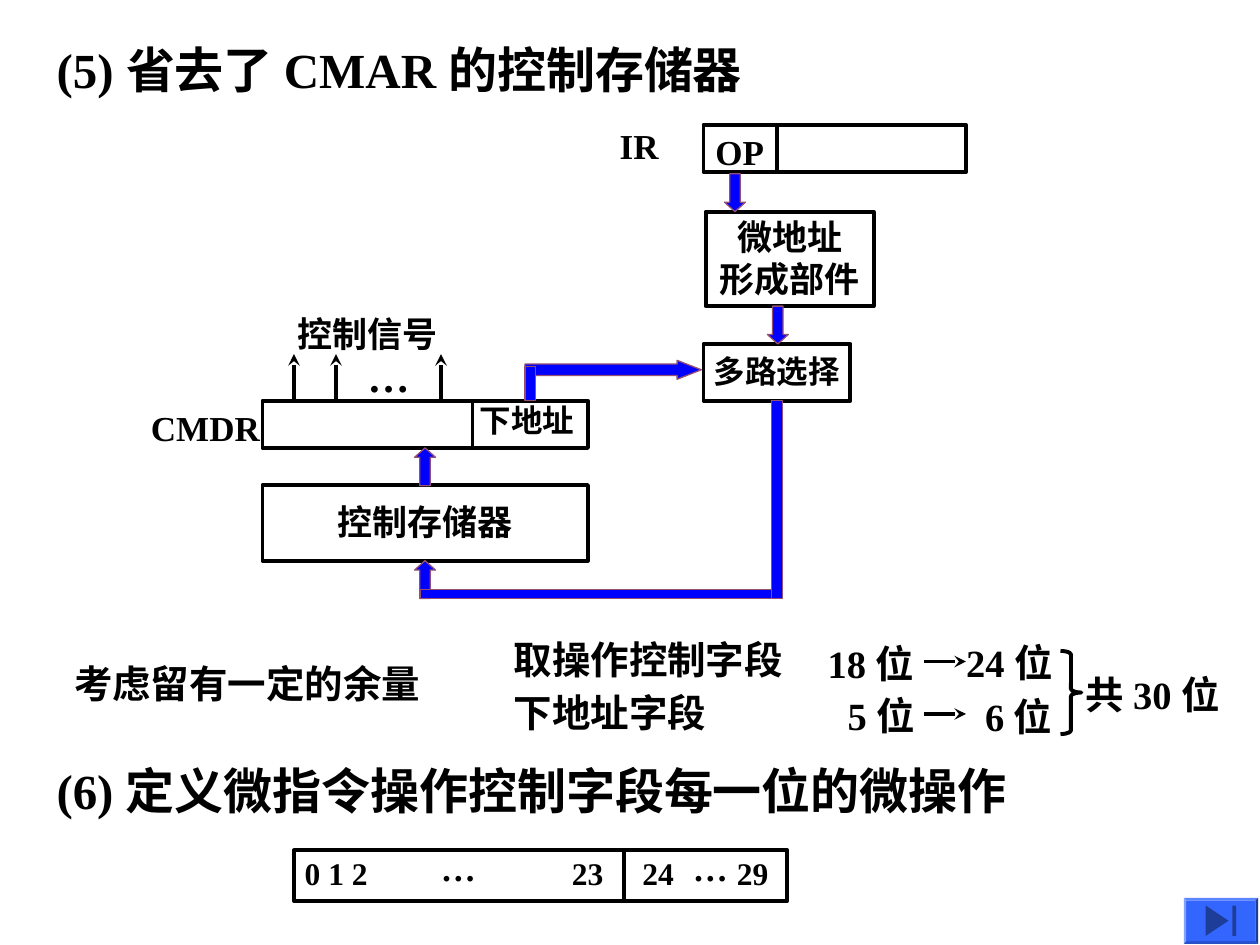
"""Build the slide on a control memory without CMAR, on a grid of 120 columns by 90 rows."""
from typing import NamedTuple

import pptx
import pptx.dml.color
import pptx.enum.shapes
import pptx.enum.text
import pptx.oxml
import pptx.oxml.ns
import pptx.util

COLS, ROWS = 120, 90
BLACK, BLUE, PLUM, BUTTON = "000000", "0000FF", "954F72", "3366FF"
FONT = "Times New Roman"
SHAPE = pptx.enum.shapes.MSO_SHAPE
ALIGN = pptx.enum.text.PP_ALIGN
ANCHOR = pptx.enum.text.MSO_ANCHOR
FIT = pptx.enum.text.MSO_AUTO_SIZE


class Label(NamedTuple):
    text: str
    col: float
    row: float
    cols: float
    size: int = 22


class Box(NamedTuple):
    col: float
    row: float
    cols: float
    rows: float
    text: str = ""
    size: int = 20


class Flow(NamedTuple):
    kind: int
    col: float
    row: float
    cols: float
    rows: float
    adjust: tuple = ()


class Line(NamedTuple):
    col1: float
    row1: float
    col2: float
    row2: float
    arrow: bool = False


TITLE = Label("(5) 省去了 CMAR 的控制存储器", 4.2, 3.14, 79.8, 28)
LABELS = [
    Label("(6) 定义微指令操作控制字段每一位的微操作", 4.2, 71.88, 101.76, 28),
    Label("考虑留有一定的余量", 5.88, 62.28, 44),
    Label("取操作控制字段", 47.76, 60, 27.96),
    Label("下地址字段", 47.76, 65.04, 20.64),
    Label("18 位", 77.64, 60.36, 11.52),
    Label("5 位", 79.56, 65.28, 9.6),
    Label("24 位", 90.84, 60.24, 11.52),
    Label("6 位", 92.64, 65.4, 9.6),
    Label("共 30 位", 102.24, 63.36, 16.8),
    Label("IR", 57.84, 11.28, 6.12, 20),
    Label("OP", 66.96, 11.88, 6.96, 20),
    Label("CMDR", 13.2, 38.16, 12.72, 20),
    Label("控制信号", 27.12, 29.16, 15.72, 20),
    Label("…", 33.84, 32.76, 6.36, 24),
    Label("下地址", 44.52, 37.6, 11.4, 18),
    Label("0 1 2", 27.84, 80.76, 8.4, 18),
    Label("…", 40.8, 80.04, 5.76, 20),
    Label("23", 53.28, 80.76, 5.4, 18),
    Label("24", 60, 80.76, 5.4, 18),
    Label("…", 64.8, 80.04, 5.76, 20),
    Label("29", 69, 80.76, 5.4, 18),
]
BOXES = [
    Box(67, 11.88, 25, 4.5),
    Box(67.2, 20.16, 16, 9, "微地址\n形成部件"),
    Box(67, 32.76, 14, 5.4, "多路选择", 18),
    Box(25, 38.16, 31, 4.5),
    Box(25, 46.2, 31, 7.2, "控制存储器"),
    Box(28, 81, 47, 4.8),
]
LINES = [
    Line(74, 11.88, 74, 16.38),
    Line(45, 38.16, 45, 42.66),
    Line(59.4, 81, 59.4, 85.8),
    *(Line(col, 38.16, col, 33.72, True) for col in (28, 32, 42)),
    *(Line(88, row, 92, row, True) for row in (63, 68)),
]
FLOWS = [
    Flow(SHAPE.UP_ARROW, 39.48, 42.66, 2, 3.6, (0.5, 0.45)),
    Flow(SHAPE.UP_ARROW, 39.48, 53.4, 2, 3.6, (0.5, 0.45)),
    Flow(SHAPE.RECTANGLE, 40, 56.16, 34, 0.84),
    Flow(SHAPE.RECTANGLE, 73.5, 38.16, 1, 18.84),
    Flow(SHAPE.RIGHT_ARROW, 50, 34.32, 16.8, 1.8, (0.61, 1.28)),
    Flow(SHAPE.RECTANGLE, 50, 34.92, 1, 3.24),
    Flow(SHAPE.DOWN_ARROW, 73.08, 29.16, 2, 3.6, (0.5, 0.45)),
    Flow(SHAPE.DOWN_ARROW, 69, 16.56, 2, 3.6, (0.5, 0.45)),
]

prs = pptx.Presentation()
prs.slide_width = pptx.util.Inches(10)
prs.slide_height = pptx.util.Inches(7.5)
s = prs.slides.add_slide(prs.slide_layouts[5])


def rgb(value: str) -> pptx.dml.color.RGBColor:
    """Return the colour of a hex string."""
    return pptx.dml.color.RGBColor.from_string(value)


def x(cols: float) -> int:
    """Return the length of a number of columns."""
    return round(prs.slide_width * cols / COLS)


def y(rows: float) -> int:
    """Return the length of a number of rows."""
    return round(prs.slide_height * rows / ROWS)


def write(tf, text: str, size: int, align=ALIGN.LEFT) -> None:
    """Fill a text frame, one paragraph a line, in bold black."""
    tf.text = text
    for p in tf.paragraphs:
        p.alignment = align
        p.font.name = FONT
        p.font.size = pptx.util.Pt(size)
        p.font.bold = True
        p.font.color.rgb = rgb(BLACK)


def place_label(sp, label: Label) -> None:
    """Move a text shape to its label's place and write the label."""
    sp.left, sp.top, sp.width = x(label.col), y(label.row), x(label.cols)
    sp.height = pptx.util.Pt(label.size * 1.2 + 7.2)
    tf = sp.text_frame
    tf.word_wrap = True
    tf.auto_size = FIT.NONE
    tf.vertical_anchor = ANCHOR.TOP
    tf.margin_right = 0
    write(tf, label.text, label.size)


def add_outline(kind: int, col: float, row: float, cols: float, rows: float,
                fill: str = "", line: str = BLACK, width: float = 2.25):
    """Add a preset shape with the given fill and line, either of which may be empty."""
    sp = s.shapes.add_shape(kind, x(col), y(row), x(cols), y(rows))
    sp.shadow.inherit = False
    if fill:
        sp.fill.solid()
        sp.fill.fore_color.rgb = rgb(fill)
    else:
        sp.fill.background()
    if line:
        sp.line.color.rgb = rgb(line)
        sp.line.width = pptx.util.Pt(width)
    else:
        sp.line.fill.background()
    return sp


def add_box(box: Box) -> None:
    """Add a register or unit, with its name in the middle."""
    sp = add_outline(SHAPE.RECTANGLE, *box[:4])
    if box.text:
        tf = sp.text_frame
        tf.word_wrap = False
        tf.vertical_anchor = ANCHOR.MIDDLE
        tf.margin_top = pptx.util.Inches(0.02)
        tf.margin_bottom = pptx.util.Inches(0.04)
        write(tf, box.text, box.size, ALIGN.CENTER)


def add_flow(flow: Flow) -> None:
    """Add a blue arrow or a piece of a blue path."""
    sp = add_outline(*flow[:5], fill=BLUE, line=PLUM, width=0.75)
    for i, value in enumerate(flow.adjust):
        sp.adjustments[i] = value


def add_line(line: Line) -> None:
    """Add a black line, with an arrowhead if asked."""
    c = s.shapes.add_connector(pptx.enum.shapes.MSO_CONNECTOR.STRAIGHT, x(line.col1),
                               y(line.row1), x(line.col2), y(line.row2))
    c.line.color.rgb = rgb(BLACK)
    c.line.width = pptx.util.Pt(2.25)
    ns = pptx.oxml.ns.nsdecls("a")
    if line.arrow:
        c.line._get_or_add_ln().append(
            pptx.oxml.parse_xml(f'<a:tailEnd {ns} type="stealth"/>'))
    c._element.spPr.append(pptx.oxml.parse_xml(f"<a:effectLst {ns}/>"))


place_label(s.shapes.title, TITLE)
for box in BOXES:
    add_box(box)
for line in LINES:
    add_line(line)
for flow in FLOWS:
    add_flow(flow)
for label in LABELS:
    place_label(s.shapes.add_textbox(0, 0, 0, 0), label)
brace = add_outline(SHAPE.RIGHT_BRACE, 101, 62, 2, 7.92)
brace.adjustments[0] = 0.17
bevel = add_outline(SHAPE.BEVEL, 112.74, 85.5, 7.08, 4.38, fill=BUTTON, line="")
bevel.adjustments[0] = 0.06
add_outline(SHAPE.ACTION_BUTTON_END, 113, 85.76, 6.56, 3.86, fill=BUTTON, line="")
prs.save("out.pptx")
